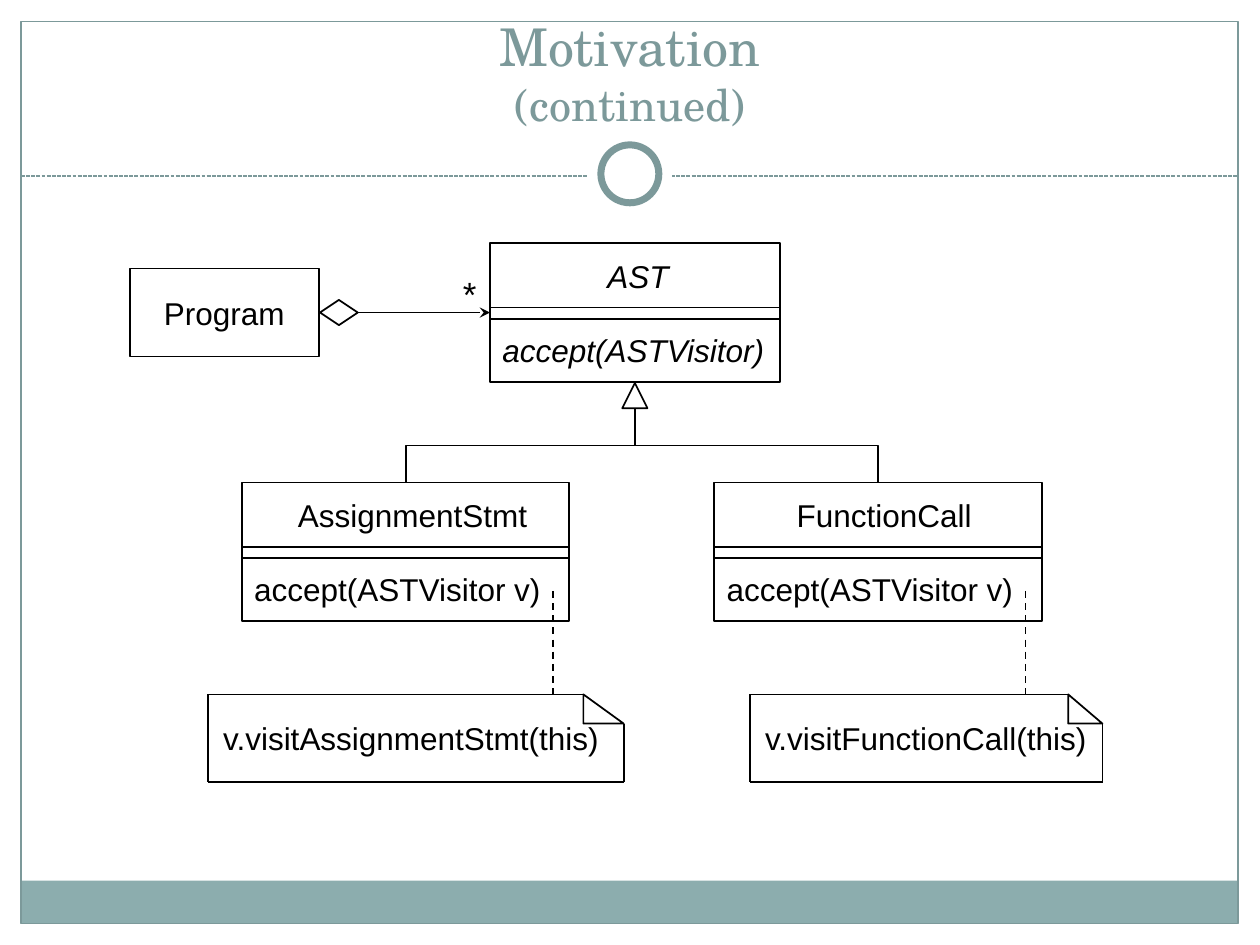
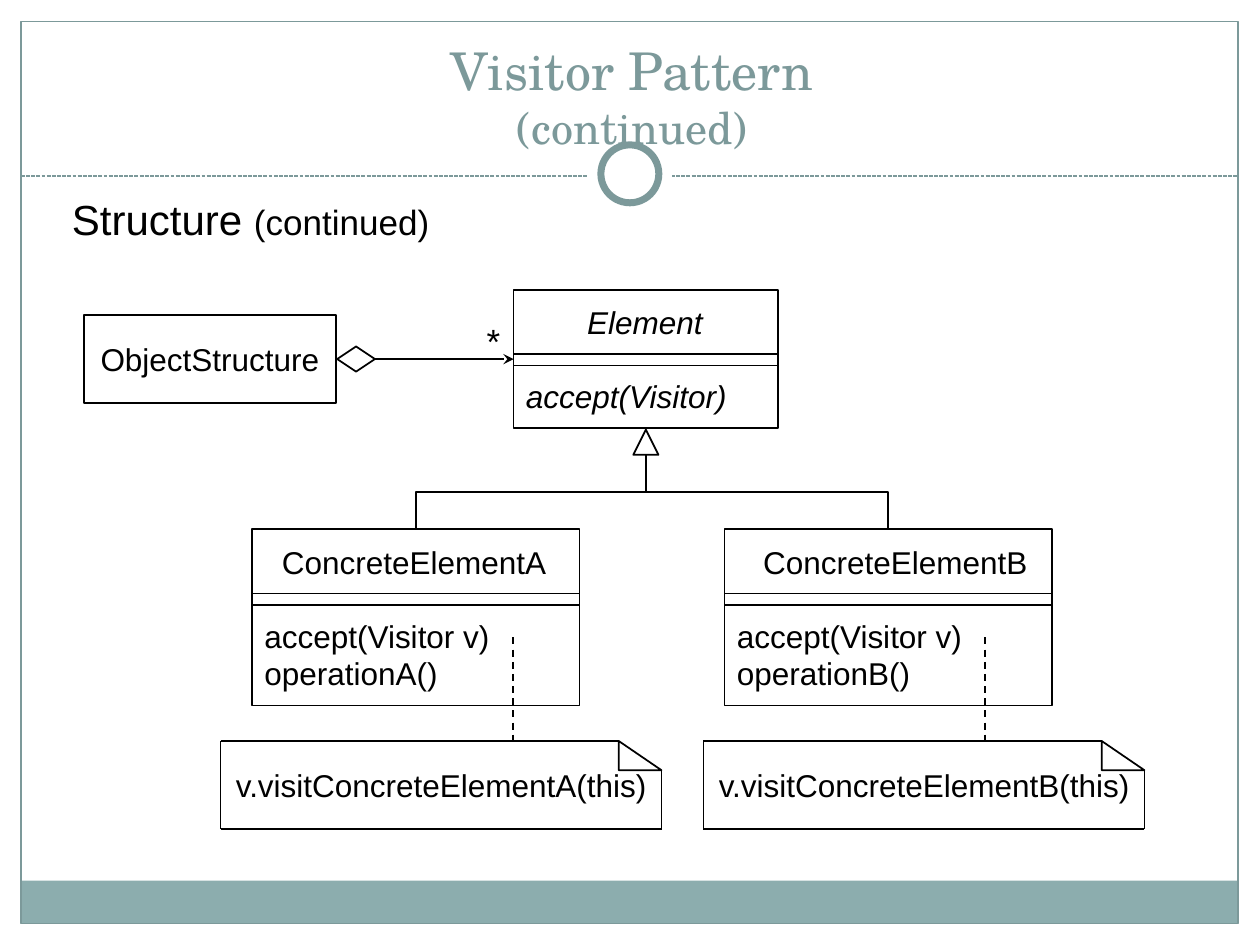
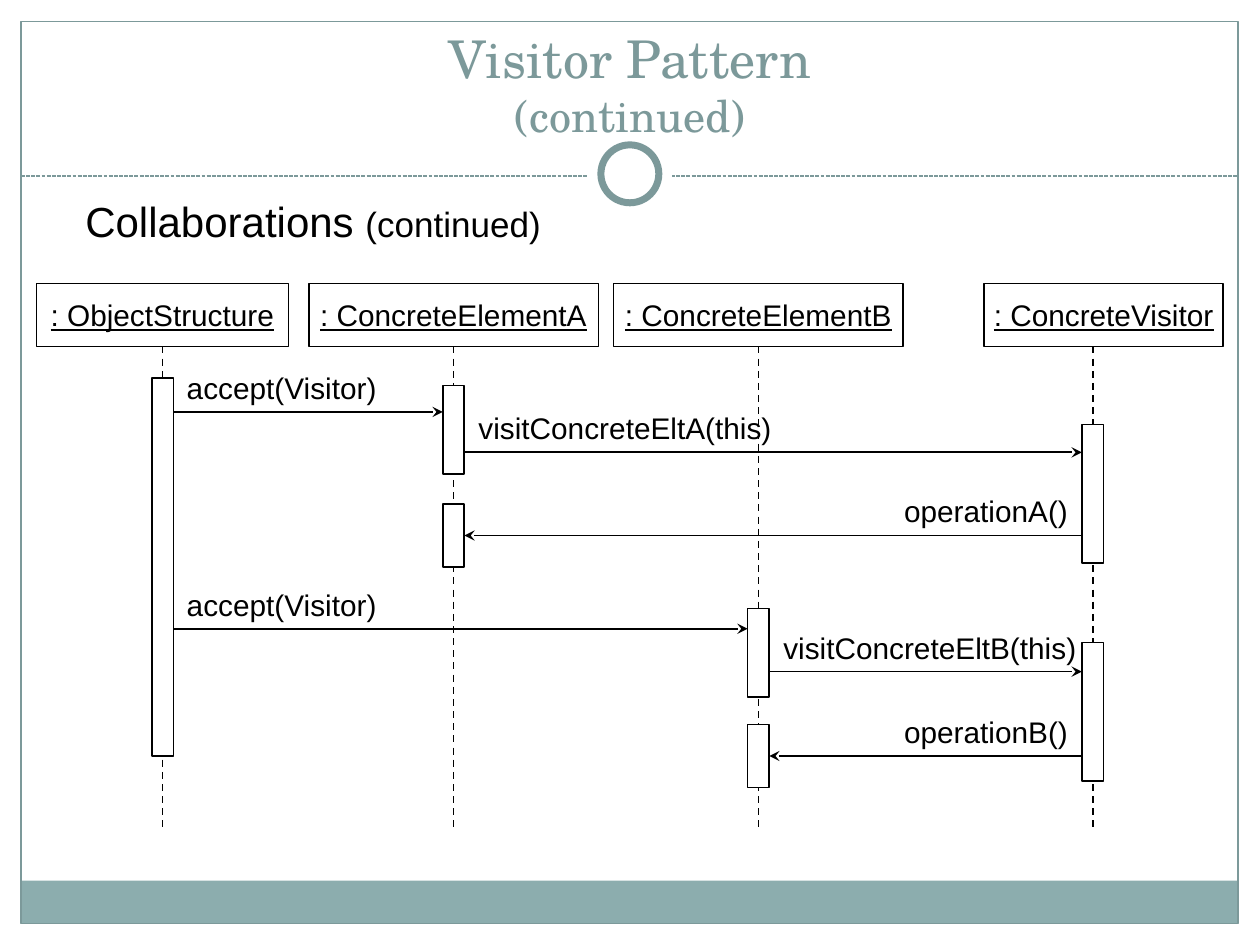
from dataclasses import dataclass

from lxml.etree import SubElement as sub
from pptx import Presentation
from pptx.dml.color import RGBColor
from pptx.enum.dml import MSO_LINE as Dash
from pptx.enum.shapes import MSO_CONNECTOR as Link, MSO_SHAPE as Form
from pptx.enum.text import MSO_ANCHOR as Anchor, PP_ALIGN as Align
from pptx.oxml.ns import qn
from pptx.util import Pt

# Shared look
WHITE, INK, TEAL, BAND = "FFFFFF", "000000", "7C999A", "8CADAE"
SANS, SERIF = "Arial", "TeX Gyre Schola"
BAR = 12.4  # width of an activation bar
LANE_TOP, LANE_H, LANE_END = 162, 36, 473.8


@dataclass
class Box:
    """A class box: indented name above its methods."""
    name: str
    ops: list[str]
    x: float
    w: float
    h: float
    pad: float


@dataclass
class Note:
    text: str
    x: float
    w: float
    span: float  # width of the text


@dataclass
class Tree:
    """An owner, a root class, its children and their notes."""
    top: float
    owner: tuple[str, float, float]
    root: Box
    kids: list[Box]
    notes: list[Note]
    stem: float  # from a child's left edge to its dashed line


@dataclass
class Lane:
    name: str
    x: float
    w: float
    mid: float
    bars: list[tuple[float, float]]


@dataclass
class Call:
    text: str
    start: int
    end: int
    y: float
    w: float


# Drawing tools
def paint(target, color: str) -> None:
    target.rgb = RGBColor.from_string(color)


def shape(slide, form, x: float, y: float, w: float, h: float,
          fill: str = "", line: str = INK, width: float = 1):
    item = slide.shapes.add_shape(form, Pt(x), Pt(y), Pt(w), Pt(h))
    item.shadow.inherit = False
    if fill:
        item.fill.solid()
        paint(item.fill.fore_color, fill)
    else:
        item.fill.background()
    if line:
        paint(item.line.color, line)
        item.line.width = Pt(width)
    else:
        item.line.fill.background()
    return item


def link(slide, x1: float, y1: float, x2: float, y2: float, color: str = INK,
         width: float = 1, dash=None, arrow: bool = False, kind=Link.STRAIGHT):
    item = slide.shapes.add_connector(kind, Pt(x1), Pt(y1), Pt(x2), Pt(y2))
    paint(item.line.color, color)
    item.line.width = Pt(width)
    if dash:
        item.line.dash_style = dash
    if arrow:
        sub(item.line._get_or_add_ln(), qn("a:tailEnd"), type="stealth")
    sub(item._element.spPr, qn("a:effectLst"))
    return item


def write(item, *paras, size: float = 18, font: str = SANS, color: str = INK,
          align=Align.CENTER, anchor=Anchor.MIDDLE, wrap: bool = False,
          italic: bool = False, under: bool = False, split: bool = False,
          indent: float = 0, gap: float = 0):
    """Each paragraph is a string or a list of (text, size) pieces.
    Indent and gap apply to the first paragraph."""
    frame = item.text_frame
    frame.word_wrap, frame.vertical_anchor = wrap, anchor
    for i, para in enumerate(paras):
        p = frame.paragraphs[0] if i == 0 else frame.add_paragraph()
        p.alignment = align
        if i == 0 and gap:
            p.space_after = Pt(gap)
        if i == 0 and indent:
            p._p.get_or_add_pPr().set("marL", str(Pt(indent)))
        pieces = [(para, size)] if isinstance(para, str) else para
        for j, (text, pts) in enumerate(pieces):
            if split and j:
                p.add_line_break()
            run = p.add_run()
            run.text = text
            run.font.size, run.font.name = Pt(pts), font
            run.font.italic, run.font.underline = italic, under
            paint(run.font.color, color)
    return item


def label(slide, x: float, y: float, w: float, h: float, *paras, **style):
    item = slide.shapes.add_textbox(Pt(x), Pt(y), Pt(w), Pt(h))
    return write(item, *paras, **style)


# Frame and title of every slide
def page(deck, title: str, x: float, y: float, w: float, h: float):
    slide = deck.slides.add_slide(deck.slide_layouts[6])
    for area in ((0, 0, 720, 109.4), (0, 0, 12, 540), (708, 0, 12, 540)):
        shape(slide, Form.RECTANGLE, *area, fill=WHITE, line="")
    shape(slide, Form.RECTANGLE, 12, 503.3, 695.5, 24.5, fill=BAND, line="")
    shape(slide, Form.RECTANGLE, 12, 12.2, 695.5, 515.5, line=TEAL, width=0.75)
    link(slide, 12, 100.6, 707.5, 100.6, TEAL, 0.75, Dash.SQUARE_DOT)
    shape(slide, Form.OVAL, 336, 75.6, 48, 48, fill=WHITE, line="")
    shape(slide, Form.OVAL, 343.4, 82.8, 33.1, 33.1, WHITE, TEAL, 4)
    label(slide, x, y, w, h, [(title, 29.7), ("(continued)", 25.2)],
          font=SERIF, color=TEAL, anchor=Anchor.BOTTOM, wrap=True, split=True)
    return slide


def head(slide, text: str, x: float, y: float, w: float) -> None:
    label(slide, x, y, w, 36, [(text + " ", 24), ("(continued)", 20)],
          anchor=Anchor.TOP)


# Class diagram
def entity(slide, box: Box, y: float, italic: bool = False) -> None:
    item = shape(slide, Form.RECTANGLE, box.x, y, box.w, box.h)
    item.text_frame.margin_right = 0
    write(item, box.name, *box.ops, align=Align.LEFT, wrap=True,
          italic=italic, indent=box.pad, gap=20.7)
    for drop in (36.7, 43.2):
        link(slide, box.x, y + drop, box.x + box.w, y + drop)


def branch(slide, x1: float, y1: float, x2: float, y2: float) -> None:
    """Elbow that leaves downwards: a turned horizontal one."""
    side = 1 if x2 < x1 else -1
    mid_x, mid_y = (x1 + x2) / 2, (y1 + y2) / 2
    dx, dy = side * (y2 - y1) / 2, abs(x2 - x1) / 2
    item = link(slide, mid_x - dx, mid_y - dy, mid_x + dx, mid_y + dy,
                kind=Link.ELBOW)
    turn = 90 if side > 0 else 270
    item._element.spPr.find(qn("a:xfrm")).set("rot", str(turn * 60000))


def memo(slide, note: Note, y: float) -> None:
    fold, drop = note.w * 0.097, 16.7
    left, right, low = note.x, note.x + note.w, y + 50.2
    shape(slide, Form.RIGHT_TRIANGLE, right - fold, y, fold, drop)
    for ends in ((left, y, left, low), (left, low, right, low),
                 (left, y, right - fold, y), (right, y + drop, right, low)):
        link(slide, *ends)
    label(slide, left + 0.5, y + 10.8, note.span, 29, note.text,
          anchor=Anchor.TOP)


def draw_tree(slide, tree: Tree) -> None:
    top, root = tree.top, tree.root
    mid, low = root.x + root.w / 2, top + root.h
    kid_top = low + 57.6
    note_top = kid_top + 121
    entity(slide, root, top, italic=True)
    shape(slide, Form.ISOSCELES_TRIANGLE, mid - 7.2, low + 0.7, 14.4, 14.4)
    for kid in tree.kids:
        branch(slide, mid, low + 15.1, kid.x + kid.w / 2, kid_top)
    # Owner and its arrow to the root
    name, x, w = tree.owner
    axis = top + 39.6
    owner = shape(slide, Form.RECTANGLE, x, top + 14.4, w, 50.4)
    write(owner, name)
    shape(slide, Form.DIAMOND, x + w + 0.7, axis - 7.2, 21.6, 14.4)
    link(slide, x + w + 22.3, axis, root.x, axis, arrow=True)
    label(slide, root.x - 22.7, top + 13.3, 22.3, 31.7, "*", size=20,
          anchor=Anchor.TOP)
    # Children with notes
    for kid, note in zip(tree.kids, tree.notes):
        entity(slide, kid, kid_top)
        memo(slide, note, note_top)
        stem = kid.x + tree.stem
        link(slide, stem, kid_top + 61.9, stem, note_top, dash=Dash.DASH)


# Sequence diagram
def draw_lanes(slide, lanes: list[Lane], calls: list[Call]) -> None:
    for lane in lanes:
        item = shape(slide, Form.RECTANGLE, lane.x, LANE_TOP, lane.w, LANE_H)
        write(item, ": " + lane.name, size=17, under=True)
        link(slide, lane.mid, LANE_TOP + LANE_H, lane.mid, LANE_END,
             dash=Dash.DASH)
    for lane in lanes:
        for y, h in lane.bars:
            shape(slide, Form.RECTANGLE, lane.mid - BAR / 2, y, BAR, h, WHITE)
    for call in calls:
        way = 1 if call.end > call.start else -1
        x1 = lanes[call.start].mid + way * BAR / 2
        x2 = lanes[call.end].mid - way * BAR / 2
        link(slide, x1, call.y, x2, call.y, arrow=True)
        left = x1 if way > 0 else x1 - call.w
        label(slide, left, call.y - 28, call.w, 28, call.text, size=17)


# Content
AST = Tree(
    139, ("Program", 74.2, 108),
    Box("AST", ["accept(ASTVisitor)"], 280, 165.6, 79.2, 60),
    [Box("AssignmentStmt", ["accept(ASTVisitor v)"], 138.2, 187.2, 79.2, 25),
     Box("FunctionCall", ["accept(ASTVisitor v)"], 408.2, 187.2, 79.2, 40)],
    [Note("v.visitAssignmentStmt(this)", 118.8, 237.6, 231.1),
     Note("v.visitFunctionCall(this)", 428.4, 201.6, 200.2)],
    177.8)
PARTS = Tree(
    165.6, ("ObjectStructure", 48, 144),
    Box("Element", ["accept(Visitor)"], 293.5, 151.2, 79.2, 35),
    [Box("ConcreteElement" + key, ["accept(Visitor v)", f"operation{key}()"],
         x, 187.2, 100.8, pad) for key, x, pad in (("A", 144, 10), ("B", 414, 15))],
    [Note(f"v.visitConcreteElement{key}(this)", x, 252, 251.3)
     for key, x in (("A", 126), ("B", 402))],
    149)
LANES = [
    Lane("ObjectStructure", 20.9, 144, 92.9, [(216, 216)]),
    Lane("ConcreteElementA", 176.4, 165.6, 259.2, [(220.3, 50.4), (288, 36)]),
    Lane("ConcreteElementB", 350.6, 165.6, 433.4, [(347.8, 50.4), (414, 36)]),
    Lane("ConcreteVisitor", 562.3, 136.8, 624.4, [(242.6, 79.2), (367.2, 79.2)]),
]
CALLS = [
    call for key, lane, rows in (("A", 1, (235.4, 258.5, 306)),
                                 ("B", 2, (359.3, 383.8, 432)))
    for call in (Call("accept(Visitor)", 0, lane, rows[0], 123.8),
                 Call(f"visitConcreteElt{key}(this)", lane, 3, rows[1], 183.6),
                 Call(f"operation{key}()", 3, lane, rows[2], 109.4))
]

deck = Presentation()
deck.slide_width, deck.slide_height = Pt(720), Pt(540)

draw_tree(page(deck, "Motivation", 24, 18, 672, 60), AST)

slide = page(deck, "Visitor Pattern", 66, 12.2, 590.4, 79.2)
head(slide, "Structure", 33.1, 107.3, 220.3)
draw_tree(slide, PARTS)

slide = page(deck, "Visitor Pattern", 24, 24.5, 672, 60)
head(slide, "Collaborations", 40.3, 108, 277.2)
draw_lanes(slide, LANES, CALLS)

deck.save("out.pptx")
